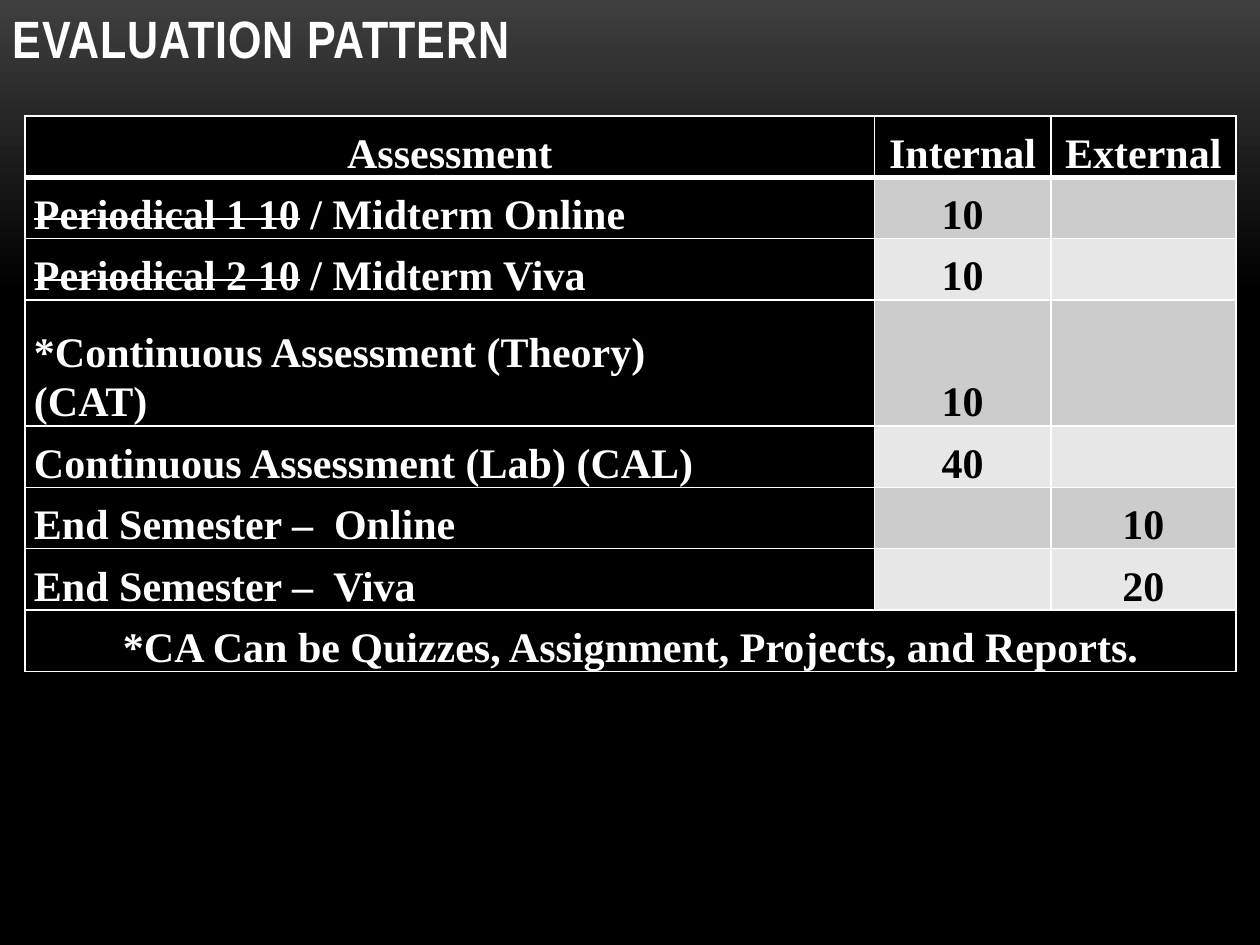
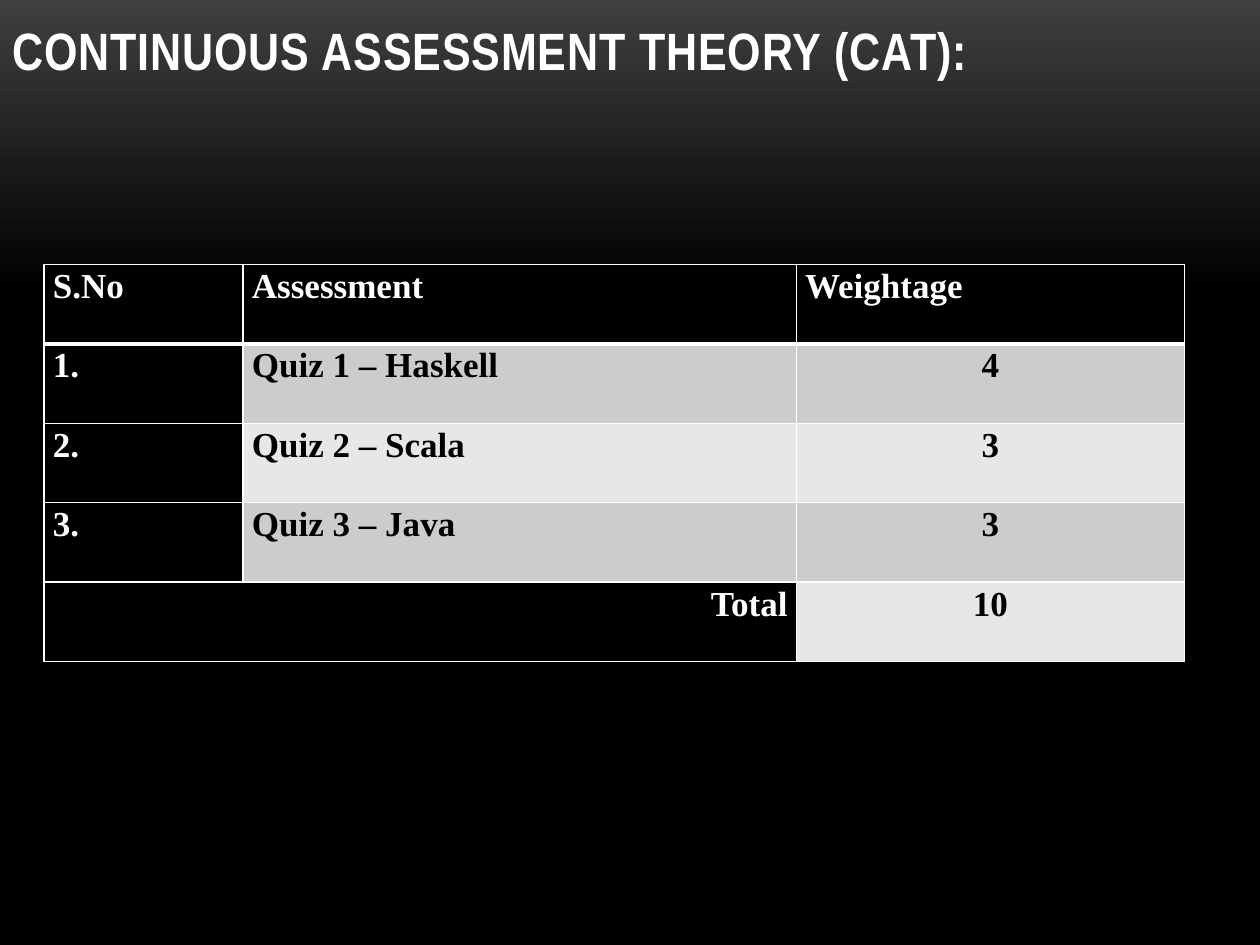
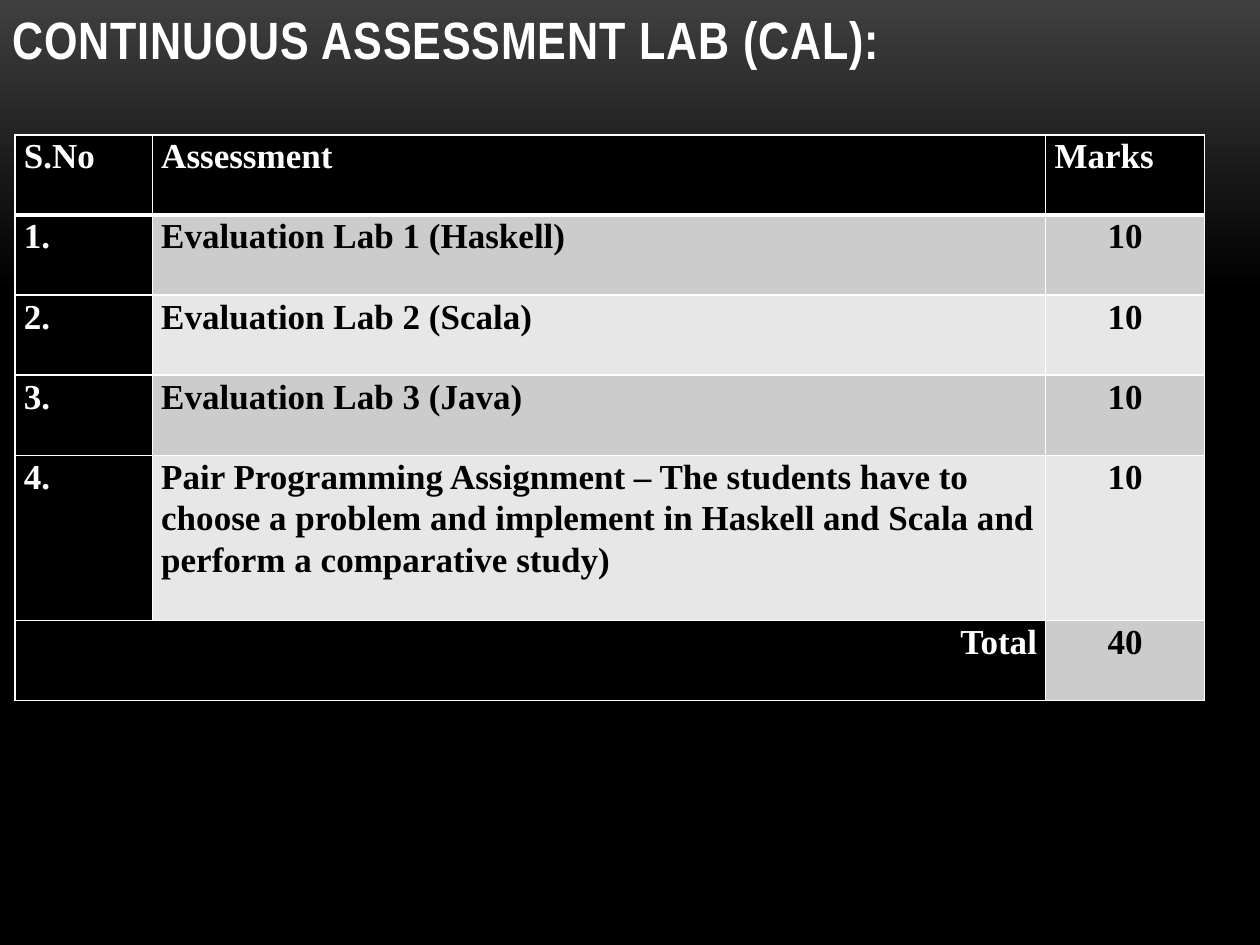
import pptx
import pptx.dml.color
import pptx.enum.text
import pptx.oxml
import pptx.oxml.ns
import pptx.util
from pptx.util import Inches

RGBColor = pptx.dml.color.RGBColor
WHITE = RGBColor(0xFF, 0xFF, 0xFF)
BLACK = RGBColor(0x00, 0x00, 0x00)
CHARCOAL = RGBColor(0x3F, 0x3F, 0x3F)
BANDS = (RGBColor(0xCC, 0xCC, 0xCC), RGBColor(0xE7, 0xE7, 0xE7))

TITLE_FONT = "Arial Narrow"
TABLE_FONT = "Times New Roman"

LEFT = pptx.enum.text.PP_ALIGN.LEFT
CENTER = pptx.enum.text.PP_ALIGN.CENTER
RIGHT = pptx.enum.text.PP_ALIGN.RIGHT
TOP = pptx.enum.text.MSO_ANCHOR.TOP
BOTTOM = pptx.enum.text.MSO_ANCHOR.BOTTOM

TITLE_ONLY = 5
THIN, THICK = 1, 3

# A tuple in a cell holds struck-out text and the text after it.
# "tall_rows" lists the rows whose height differs; the others share the rest.
# "total_span" is the number of cells merged in the last row.
SLIDES = [
    {
        "title": "EVALUATION PATTERN",
        "title_box": (0, -0.01, 8.67, 0.61),
        "table_box": (0.2, 0.92, 9.61, 4.41),
        "columns": (6.74, 1.4, 1.47),
        "tall_rows": {3: 1},
        "size": 24,
        "anchor": BOTTOM,
        "header_alignment": CENTER,
        "alignments": (LEFT, CENTER, CENTER),
        "total_alignment": CENTER,
        "total_span": 3,
        "rows": [
            ("Assessment", "Internal", "External"),
            (("Periodical 1 10", " / Midterm Online"), "10", ""),
            (("Periodical 2 10", " / Midterm Viva"), "10", ""),
            ("*Continuous Assessment (Theory) \v(CAT)", "10", ""),
            ("Continuous Assessment (Lab) (CAL)", "40", ""),
            ("End Semester –  Online", "", "10"),
            ("End Semester –  Viva", "", "20"),
            ("*CA Can be Quizzes, Assignment, Projects, and Reports.", "", ""),
        ],
    },
    {
        "title": "CONTINUOUS ASSESSMENT THEORY (CAT):",
        "title_box": (0, 0, 8.67, 0.69),
        "table_box": (0.35, 2.1, 9.06, 3.15),
        "columns": (1.58, 4.39, 3.08),
        "tall_rows": {},
        "size": 20,
        "anchor": TOP,
        "header_alignment": LEFT,
        "alignments": (LEFT, LEFT, CENTER),
        "total_alignment": RIGHT,
        "total_span": 2,
        "rows": [
            ("S.No", "Assessment", "Weightage"),
            ("1.", "Quiz 1 – Haskell", "4"),
            ("2.", "Quiz 2 – Scala", "3"),
            ("3.", "Quiz 3 – Java", "3"),
            ("Total", "", "10"),
        ],
    },
    {
        "title": "CONTINUOUS ASSESSMENT LAB (CAL):",
        "title_box": (0, 0, 8.67, 0.61),
        "table_box": (0.12, 1.07, 9.45, 4.49),
        "columns": (1.09, 7.09, 1.26),
        "tall_rows": {4: 1.31},
        "size": 20,
        "anchor": TOP,
        "header_alignment": LEFT,
        "alignments": (LEFT, LEFT, CENTER),
        "total_alignment": RIGHT,
        "total_span": 2,
        "rows": [
            ("S.No", "Assessment", "Marks"),
            ("1.", "Evaluation Lab 1 (Haskell)", "10"),
            ("2.", "Evaluation Lab 2 (Scala)", "10"),
            ("3.", "Evaluation Lab 3 (Java)", "10"),
            ("4.", "Pair Programming Assignment – The students have to choose a problem "
                   "and implement in Haskell and Scala and perform a comparative study)", "10"),
            ("Total", "", "40"),
        ],
    },
]


def set_background(master):
    fill = master.background.fill
    fill.gradient()
    fill.gradient_angle = 270
    for stop, position, color in zip(fill.gradient_stops, (0, 0.31), (CHARCOAL, BLACK)):
        stop.position = position
        stop.color.rgb = color


def set_font(paragraph, name, size, color):
    font = paragraph.font
    font.name = name
    font.size = pptx.util.Pt(size)
    font.bold = True
    font.color.rgb = color


def add_title(slide, text, box):
    title = slide.shapes.title
    title.left, title.top, title.width, title.height = map(Inches, box)
    frame = title.text_frame
    frame.text = text
    frame.auto_size = pptx.enum.text.MSO_AUTO_SIZE.NONE
    frame.vertical_anchor = BOTTOM
    paragraph = frame.paragraphs[0]
    paragraph.alignment = LEFT
    set_font(paragraph, TITLE_FONT, 30, WHITE)
    paragraph.runs[0]._r.get_or_add_rPr().set("spc", "50")


def set_borders(cell, top, bottom):
    """Draw white borders; top and bottom are widths in points."""
    properties = cell._tc.get_or_add_tcPr()
    for side, width in (("L", THIN), ("R", THIN), ("T", top), ("B", bottom)):
        properties.append(pptx.oxml.parse_xml(
            f'<a:ln{side} {pptx.oxml.ns.nsdecls("a")} w="{pptx.util.Pt(width)}">'
            f'<a:solidFill><a:srgbClr val="{WHITE}"/></a:solidFill></a:ln{side}>'))


def write_cell(cell, content, size, color, alignment):
    paragraph = cell.text_frame.paragraphs[0]
    if isinstance(content, tuple):
        struck, rest = content
        run = paragraph.add_run()
        run.text = struck
        run._r.get_or_add_rPr().set("strike", "sngStrike")
        paragraph.add_run().text = rest
    else:
        paragraph.text = content
    paragraph.alignment = alignment
    paragraph.line_spacing = 1.07
    set_font(paragraph, TABLE_FONT, size, color)


def add_marks_table(slide, content):
    rows, columns = content["rows"], content["columns"]
    tall_rows = content["tall_rows"]
    box = content["table_box"]
    last = len(rows) - 1
    table = slide.shapes.add_table(len(rows), len(columns), *map(Inches, box)).table

    for column, width in zip(table.columns, columns):
        column.width = Inches(width)
    plain_height = (box[3] - sum(tall_rows.values())) / (len(rows) - len(tall_rows))
    for index, row in enumerate(table.rows):
        row.height = Inches(tall_rows.get(index, plain_height))

    for row_index, row in enumerate(rows):
        for column_index, text in enumerate(row):
            cell = table.cell(row_index, column_index)
            in_total = row_index == last and column_index < content["total_span"]
            is_heading = row_index == 0 or column_index == 0 or in_total
            if row_index == 0:
                alignment = content["header_alignment"]
            elif in_total:
                alignment = content["total_alignment"]
            else:
                alignment = content["alignments"][column_index]

            cell.margin_left = cell.margin_right = Inches(0.07)
            cell.margin_top = cell.margin_bottom = 0
            cell.vertical_anchor = content["anchor"]
            set_borders(cell, THICK if row_index == 1 else THIN,
                        THICK if row_index == 0 else THIN)
            cell.fill.solid()
            cell.fill.fore_color.rgb = BLACK if is_heading else BANDS[(row_index - 1) % 2]
            write_cell(cell, text, content["size"], WHITE if is_heading else BLACK, alignment)

    table.cell(last, 0).merge(table.cell(last, content["total_span"] - 1))


def main():
    presentation = pptx.Presentation()
    presentation.slide_width = Inches(10)
    presentation.slide_height = Inches(7.5)
    set_background(presentation.slide_master)
    for content in SLIDES:
        slide = presentation.slides.add_slide(presentation.slide_layouts[TITLE_ONLY])
        add_title(slide, content["title"], content["title_box"])
        add_marks_table(slide, content)
    presentation.save("out.pptx")


if __name__ == "__main__":
    main()
